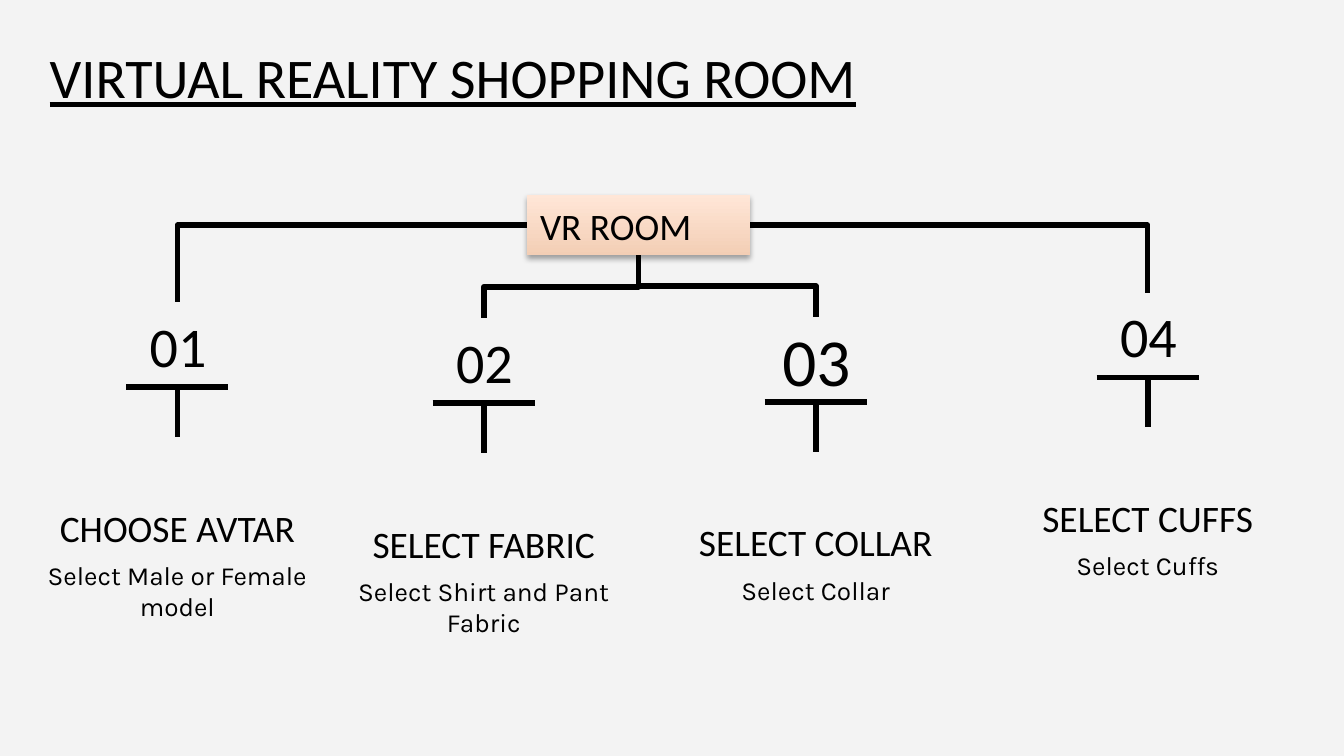
from lxml import etree
from pptx import Presentation
from pptx.dml.color import RGBColor
from pptx.enum.shapes import MSO_CONNECTOR, MSO_SHAPE
from pptx.enum.text import MSO_ANCHOR, MSO_AUTO_SIZE, PP_ALIGN
from pptx.oxml import parse_xml
from pptx.oxml.ns import qn
from pptx.util import Inches, Pt

STRAIGHT, ELBOW = MSO_CONNECTOR.STRAIGHT, MSO_CONNECTOR.ELBOW
RECT = MSO_SHAPE.RECTANGLE
TOP, MIDDLE, BOTTOM = MSO_ANCHOR.TOP, MSO_ANCHOR.MIDDLE, MSO_ANCHOR.BOTTOM
LEFT, CENTER = PP_ALIGN.LEFT, PP_ALIGN.CENTER
FIXED = MSO_AUTO_SIZE.NONE

BLACK = RGBColor(0x00, 0x00, 0x00)
PAPER = RGBColor(0xF3, 0xF3, 0xF3)
PEACH = RGBColor(0xF3, 0xCE, 0xB5)
CREAM = RGBColor(0xFF, 0xE6, 0xD7)

SHADOW = (
    '<a:outerShdw xmlns:a="http://schemas.openxmlformats.org/drawingml/2006/main"'
    ' blurRad="39370" dist="22860" dir="5400000" rotWithShape="0">'
    '<a:srgbClr val="000000"><a:alpha val="35000"/></a:srgbClr></a:outerShdw>'
)

# Number, number size, centre x, top y, heading, detail
STEPS = [
    ("01", 30, 1.32, 2.25, "CHOOSE AVTAR", "Select Male or Female model"),
    ("02", 30, 3.6, 2.37, "SELECT FABRIC", "Select Shirt and Pant Fabric"),
    ("03", 36, 6.07, 2.36, "SELECT COLLAR", "Select Collar"),
    ("04", 30, 8.54, 2.18, "SELECT CUFFS", "Select Cuffs"),
]
ROOM = (3.92, 1.45, 1.66, 0.45)


def write(shape, text, size, font="Calibri", align=CENTER, anchor=TOP,
          pad=0, under=None):
    frame = shape.text_frame
    frame.word_wrap = True
    frame.auto_size = FIXED
    frame.vertical_anchor = anchor
    frame.margin_left = frame.margin_right = Inches(0.1)
    frame.margin_top = frame.margin_bottom = Inches(pad)
    para = frame.paragraphs[0]
    para.alignment = align
    run = para.add_run()
    run.text = text
    run.font.name = font
    run.font.size = Pt(size)
    run.font.underline = under
    run.font.color.rgb = BLACK


def add_text(slide, box, text, size, **style):
    shape = slide.shapes.add_textbox(*map(Inches, box))
    write(shape, text, size, **style)


def add_line(slide, start, end, kind=STRAIGHT):
    line = slide.shapes.add_connector(kind, *map(Inches, start + end))
    line.line.color.rgb = BLACK
    line.line.width = Pt(3)
    etree.SubElement(line._element.spPr, qn("a:effectLst"))
    return line


def add_corner(slide, start, end):
    """Run level from start, then drop to end."""
    line = add_line(slide, start, end, ELBOW)
    line._element.spPr.find(qn("a:prstGeom")).set("prst", "bentConnector2")


def add_fork(slide, start, end):
    """Drop from start, run level at half height, then drop to end."""
    (x1, y1), (x2, y2) = start, end
    mid_x, mid_y = (x1 + x2) / 2, (y1 + y2) / 2
    wide, high = y2 - y1, abs(x2 - x1)
    left, top = mid_x - wide / 2, mid_y - high / 2
    line = add_line(slide, (left, top), (left + wide, top + high), ELBOW)
    frame = line._element.spPr.find(qn("a:xfrm"))
    if x2 > x1:
        frame.set("rot", "16200000")
        frame.set("flipH", "1")
    else:
        frame.set("rot", "5400000")


def add_room(slide):
    room = slide.shapes.add_shape(RECT, *map(Inches, ROOM))
    room.fill.gradient()
    room.fill.gradient_angle = 90
    stops = room.fill.gradient_stops
    for stop, tone, place in zip(stops, (PEACH, CREAM), (0, 1)):
        stop.color.rgb = tone
        stop.position = place
    room.line.fill.background()
    room.shadow.inherit = False
    room._element.spPr.find(qn("a:effectLst")).append(parse_xml(SHADOW))
    write(room, "VR ROOM", 20, align=LEFT, anchor=MIDDLE)


def add_step(slide, number, size, mid, top, head, detail):
    rule = top + 0.63
    add_text(slide, (mid - 0.52, top, 1.05, 0.63), number, size,
             anchor=MIDDLE, pad=0.1)
    add_line(slide, (mid - 0.38, rule), (mid + 0.38, rule))
    add_line(slide, (mid, rule), (mid, rule + 0.37))
    add_text(slide, (mid - 1.15, top + 1, 2.3, 0.84), head, 20, anchor=BOTTOM)
    add_text(slide, (mid - 1.15, top + 1.91, 2.3, 0.49), detail, 14,
             font="Karla")


def main():
    deck = Presentation()
    deck.slide_width = Inches(10)
    deck.slide_height = deck.slide_width * 9 // 16
    slide = deck.slides.add_slide(deck.slide_layouts[5])
    slide.background.fill.solid()
    slide.background.fill.fore_color.rgb = PAPER

    # Title
    title = slide.shapes.title
    title.left, title.top = Inches(0.27), Inches(0.22)
    title.width, title.height = Inches(8.44), Inches(0.63)
    write(title, "VIRTUAL REALITY SHOPPING ROOM", 30, align=LEFT, pad=0.1,
          under=True)

    # Branches from the room to each step
    left, top, wide, high = ROOM
    side = top + high / 2
    base = (left + wide / 2, top + high)
    ends = [(mid, y) for _, _, mid, y, _, _ in STEPS]
    add_corner(slide, (left, side), ends[0])
    add_fork(slide, base, ends[1])
    add_fork(slide, base, ends[2])
    add_corner(slide, (left + wide, side), ends[3])
    add_room(slide)

    # Steps
    for step in STEPS:
        add_step(slide, *step)

    deck.save("out.pptx")


if __name__ == "__main__":
    main()
